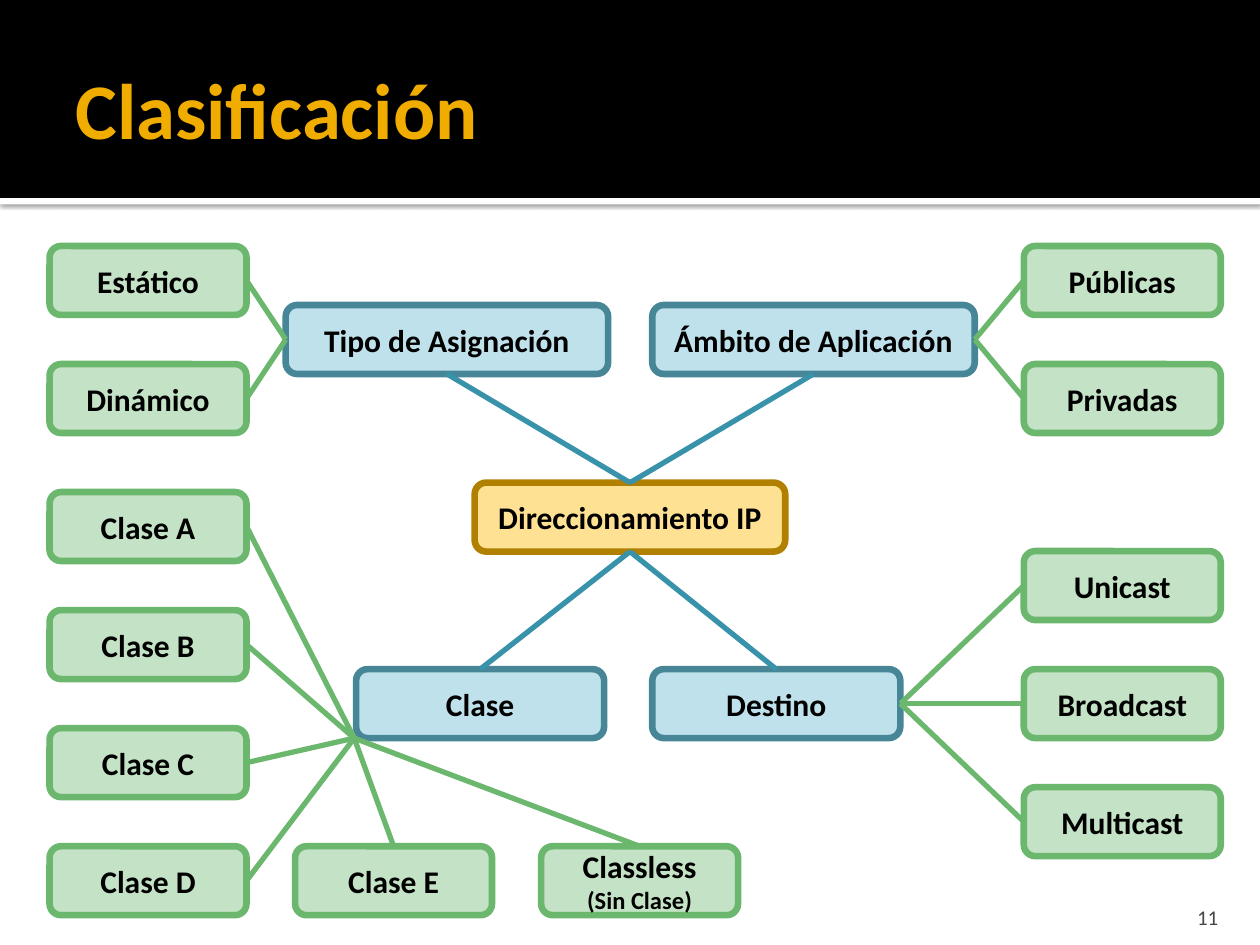
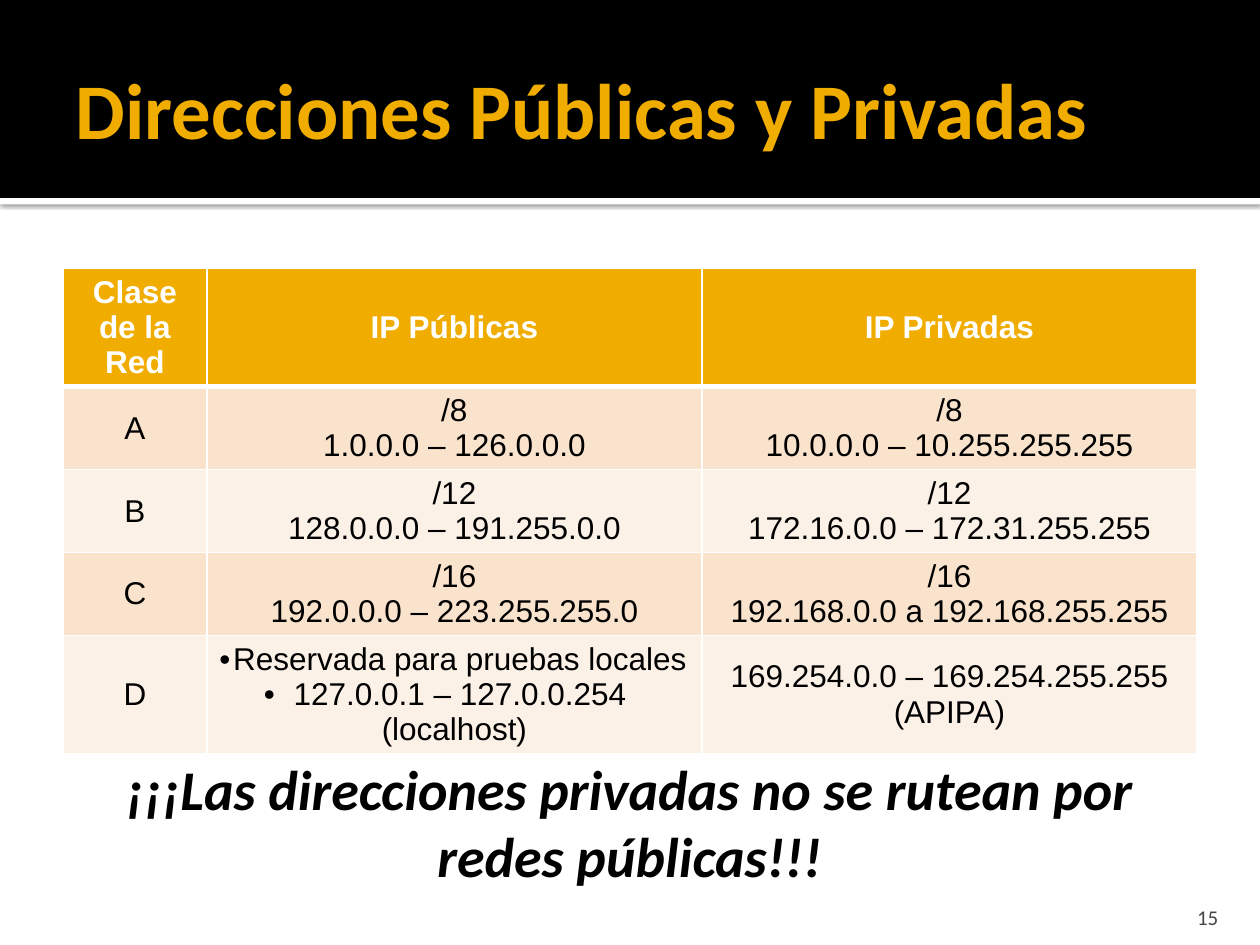
import dataclasses

import lxml.etree
import pptx
import pptx.dml.color
import pptx.enum.shapes
import pptx.enum.text
import pptx.oxml
import pptx.oxml.ns
import pptx.util

Cm = pptx.util.Cm
Pt = pptx.util.Pt
ALIGN = pptx.enum.text.PP_ALIGN
ANCHOR = pptx.enum.text.MSO_ANCHOR
SHAPE = pptx.enum.shapes.MSO_SHAPE
TOP, LEFT, BOTTOM, RIGHT = range(4)


@dataclasses.dataclass(frozen=True)
class Theme:
    font: str = "Calibri"
    table_font: str = "Arial"
    black: str = "000000"
    white: str = "FFFFFF"
    gold: str = "F0AD00"
    number_grey: str = "454545"
    root_colors: tuple = ("FFE193", "B28000")
    branch_colors: tuple = ("BFE1EB", "478697")
    leaf_colors: tuple = ("C4E2C5", "6BB76D")
    branch_link: str = "3792AA"
    row_fills: tuple = ("F9E3CC", "FCF1E7")
    title_size: float = 45
    message_size: float = 32
    body_size: float = 18
    small_size: float = 14
    number_size: float = 12
    box_line: float = 3.78
    link_line: float = 3


THEME = Theme()
BOX_HEIGHT = 1.39
LEAF_WIDTH = 3.97
LEAF_STEP = 2.38
LEFT_COLUMN = 1
RIGHT_COLUMN = 20.64
CLASS_CORNER = (7.14, 14.88)

COLUMN_WIDTHS = (2.9, 9.98, 9.98)
ROW_HEIGHTS = (2.38, 1.67, 1.67, 1.67, 2.38)
CELL_MARGIN = 0.05
ADDRESS_ROWS = [
    ["Clase de la Red", "IP Públicas", "IP Privadas"],
    ["A", "/8\n1.0.0.0 – 126.0.0.0", "/8\n10.0.0.0 – 10.255.255.255"],
    ["B", "/12\n128.0.0.0 – 191.255.0.0", "/12\n172.16.0.0 – 172.31.255.255"],
    ["C", "/16\n192.0.0.0 – 223.255.255.0", "/16\n192.168.0.0 a 192.168.255.255"],
    ["D", "Reservada para pruebas locales\n127.0.0.1 – 127.0.0.254 (localhost)",
     "169.254.0.0 – 169.254.255.255\n(APIPA)"],
]


def rgb(color):
    return pptx.dml.color.RGBColor.from_string(color)


def add_xml(parent, tag, **attributes):
    return lxml.etree.SubElement(parent, pptx.oxml.ns.qn(tag), attributes)


def format_text(frame, size, color, align, font=THEME.font, bold=False, italic=False):
    for para in frame.paragraphs:
        para.alignment = align
        for span in para.runs:
            span.font.name = font
            span.font.size = Pt(size)
            span.font.bold = bold
            span.font.italic = italic
            span.font.color.rgb = rgb(color)


def add_band(page, top, height, color):
    band = page.shapes.add_shape(SHAPE.RECTANGLE, 0, Cm(top), Cm(25.4), Cm(height))
    band.shadow.inherit = False
    band.fill.solid()
    band.fill.fore_color.rgb = rgb(color)
    band.line.fill.background()
    page.shapes.title.element.addprevious(band.element)
    return band


def add_band_shadow(band):
    effects = band.element.spPr.find(pptx.oxml.ns.qn("a:effectLst"))
    shadow = add_xml(effects, "a:outerShdw", blurRad=str(Pt(2.5)), dist=str(Pt(0.8)),
                     dir="5400000", algn="tl", rotWithShape="0")
    color = add_xml(shadow, "a:srgbClr", val=THEME.black)
    add_xml(color, "a:alpha", val="60000")


def add_text(page, text, left, top, width, height):
    box = page.shapes.add_textbox(Cm(left), Cm(top), Cm(width), Cm(height))
    box.text_frame.word_wrap = True
    box.text_frame.text = text
    return box.text_frame


def add_page(deck, title_text, number):
    page = deck.slides.add_slide(deck.slide_layouts[5])
    add_band_shadow(add_band(page, 3.99, 0.13, THEME.white))
    add_band(page, 0, 3.99, THEME.black)

    title = page.shapes.title
    title.left, title.top, title.width, title.height = Cm(1.27), Cm(0.43), Cm(22.86), Cm(3.48)
    frame = title.text_frame
    frame.text = title_text
    frame.auto_size = pptx.enum.text.MSO_AUTO_SIZE.NONE
    frame.vertical_anchor = ANCHOR.MIDDLE
    frame.margin_left = Cm(0.25)
    frame.margin_top = frame.margin_right = frame.margin_bottom = Cm(0.13)
    format_text(frame, THEME.title_size, THEME.gold, ALIGN.LEFT, bold=True)

    frame = add_text(page, str(number), 22.78, 17.98, 2.03, 0.76)
    frame.vertical_anchor = ANCHOR.BOTTOM
    frame.margin_bottom = 0
    format_text(frame, THEME.number_size, THEME.number_grey, ALIGN.RIGHT)
    return page


def add_box(page, text, left, top, width, colors):
    box = page.shapes.add_shape(SHAPE.ROUNDED_RECTANGLE, Cm(left), Cm(top),
                                Cm(width), Cm(BOX_HEIGHT))
    box.shadow.inherit = False
    box.fill.solid()
    box.fill.fore_color.rgb = rgb(colors[0])
    box.line.color.rgb = rgb(colors[1])
    box.line.width = Pt(THEME.box_line)
    box.text_frame.word_wrap = True
    box.text_frame.text = text
    box.text_frame.vertical_anchor = ANCHOR.MIDDLE
    format_text(box.text_frame, THEME.body_size, THEME.black, ALIGN.CENTER, bold=True)
    return box


def add_branch(page, text, left, top, width):
    return add_box(page, text, left, top, width, THEME.branch_colors)


def add_leaf(page, text, left, top):
    return add_box(page, text, left, top, LEAF_WIDTH, THEME.leaf_colors)


def add_leaf_column(page, names, left, top):
    return [add_leaf(page, name, left, top + index * LEAF_STEP)
            for index, name in enumerate(names)]


def add_link(page, start, start_side, color, end=None, end_side=None, point=(0, 0)):
    link = page.shapes.add_connector(pptx.enum.shapes.MSO_CONNECTOR.STRAIGHT,
                                     0, 0, Cm(point[0]), Cm(point[1]))
    link.begin_connect(start, start_side)
    if end is not None:
        link.end_connect(end, end_side)
    link.line.color.rgb = rgb(color)
    link.line.width = Pt(THEME.link_line)
    add_xml(link.element.spPr, "a:effectLst")


def add_classification(page):
    root = add_box(page, "Direccionamiento IP", 9.57, 9.73, 6.26, THEME.root_colors)
    assignment = add_branch(page, "Tipo de Asignación", 5.76, 6.15, 6.5)
    scope = add_branch(page, "Ámbito de Aplicación", 13.15, 6.15, 6.5)
    address_class = add_branch(page, "Clase", 7.18, 13.49, 5)
    target = add_branch(page, "Destino", 13.15, 13.49, 5)
    for branch in (assignment, scope):
        add_link(page, branch, BOTTOM, THEME.branch_link, root, TOP)
    for branch in (address_class, target):
        add_link(page, root, BOTTOM, THEME.branch_link, branch, TOP)

    leaf_link = THEME.leaf_colors[1]
    for names, left, top, side, branch, branch_side in (
        (["Estático", "Dinámico"], LEFT_COLUMN, 4.96, RIGHT, assignment, LEFT),
        (["Públicas", "Privadas"], RIGHT_COLUMN, 4.96, LEFT, scope, RIGHT),
        (["Unicast", "Broadcast", "Multicast"], RIGHT_COLUMN, 11.11, LEFT, target, RIGHT),
    ):
        for leaf in add_leaf_column(page, names, left, top):
            add_link(page, leaf, side, leaf_link, branch, branch_side)

    classes = ["Clase A", "Clase B", "Clase C", "Clase D"]
    for leaf in add_leaf_column(page, classes, LEFT_COLUMN, 9.92):
        add_link(page, leaf, RIGHT, leaf_link, point=CLASS_CORNER)
    for index, name in enumerate(["Clase E", "Classless\v(Sin Clase)"]):
        leaf = add_leaf(page, name, 5.95 + index * 4.96, 17.06)
        add_link(page, leaf, TOP, leaf_link, point=CLASS_CORNER)
    leaf.text_frame.paragraphs[0].runs[1].font.size = Pt(THEME.small_size)


def add_borders(cell, top_width, bottom_width):
    properties = cell._tc.get_or_add_tcPr()
    for side, width in (("L", 1), ("R", 1), ("T", top_width), ("B", bottom_width)):
        line = add_xml(properties, f"a:ln{side}", w=str(Pt(width)))
        add_xml(add_xml(line, "a:solidFill"), "a:srgbClr", val=THEME.white)


def add_bullets(frame):
    for para in frame.paragraphs:
        properties = para._p.get_or_add_pPr()
        add_xml(properties, "a:buFont", typeface=THEME.table_font)
        add_xml(properties, "a:buChar", char="•")


def add_address_table(page):
    table = page.shapes.add_table(len(ADDRESS_ROWS), len(COLUMN_WIDTHS), Cm(1.27), Cm(5.41),
                                  Cm(sum(COLUMN_WIDTHS)), Cm(sum(ROW_HEIGHTS))).table
    for column, width in zip(table.columns, COLUMN_WIDTHS):
        column.width = Cm(width)
    for row_index, values in enumerate(ADDRESS_ROWS):
        table.rows[row_index].height = Cm(ROW_HEIGHTS[row_index])
        header = row_index == 0
        fill = THEME.gold if header else THEME.row_fills[(row_index - 1) % 2]
        for column_index, value in enumerate(values):
            cell = table.cell(row_index, column_index)
            cell.text_frame.text = value
            cell.vertical_anchor = ANCHOR.MIDDLE
            cell.margin_top = cell.margin_bottom = Cm(CELL_MARGIN)
            format_text(cell.text_frame, THEME.body_size,
                        THEME.white if header else THEME.black,
                        ALIGN.CENTER, THEME.table_font, bold=header)
            add_borders(cell, 3 if row_index == 1 else 1, 3 if header else 1)
            cell.fill.solid()
            cell.fill.fore_color.rgb = rgb(fill)
    add_bullets(table.cell(len(ADDRESS_ROWS) - 1, 1).text_frame)


def main():
    deck = pptx.Presentation()
    deck.slide_width, deck.slide_height = Cm(25.4), Cm(19.05)

    add_classification(add_page(deck, "Clasificación", 11))

    page = add_page(deck, "Direcciones Públicas y Privadas", 15)
    add_address_table(page)
    message = add_text(page, "¡¡¡Las direcciones privadas no se rutean por redes públicas!!!",
                       2.18, 15.09, 21.03, 3)
    format_text(message, THEME.message_size, THEME.black, ALIGN.CENTER, bold=True, italic=True)

    deck.save("out.pptx")


if __name__ == "__main__":
    main()
